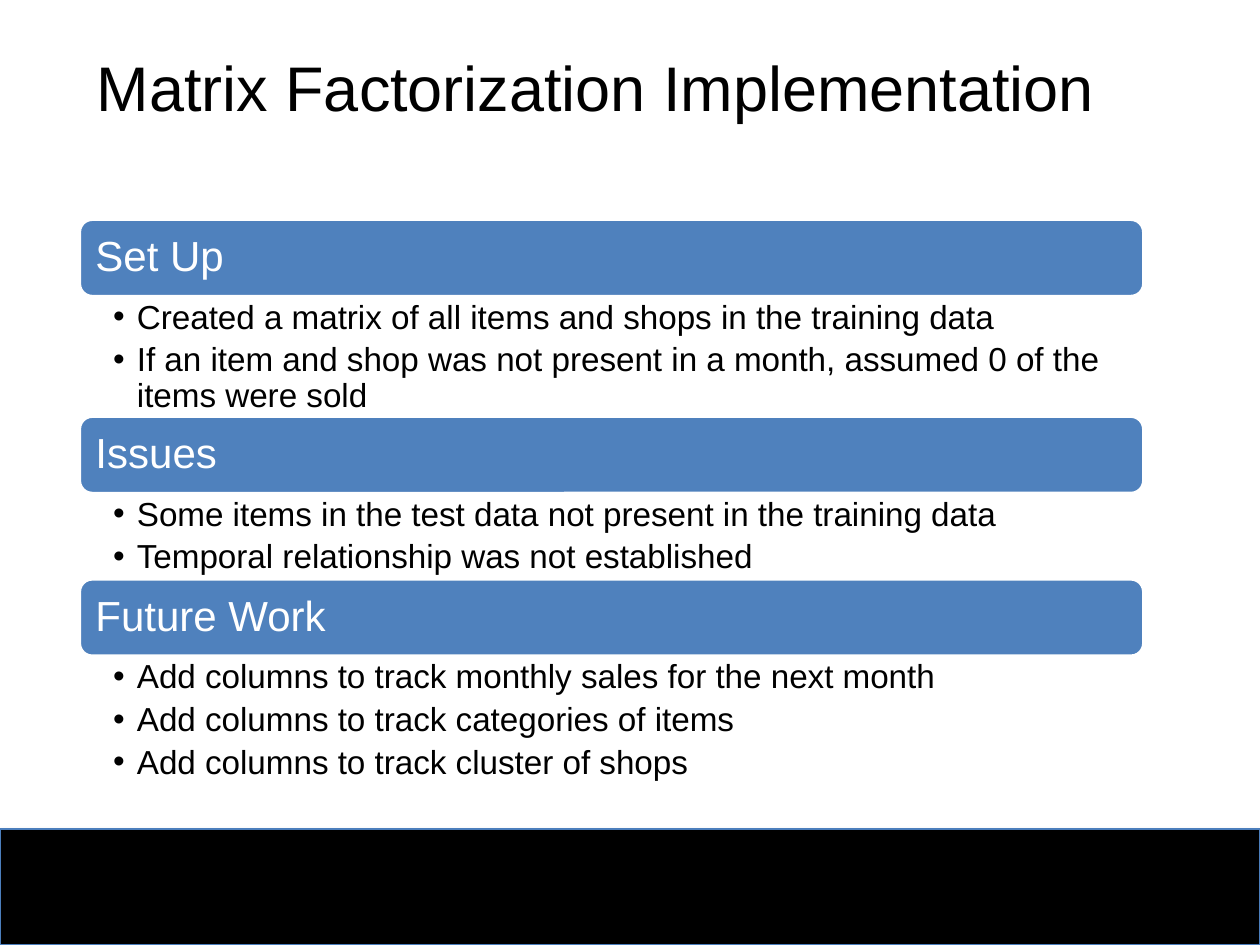
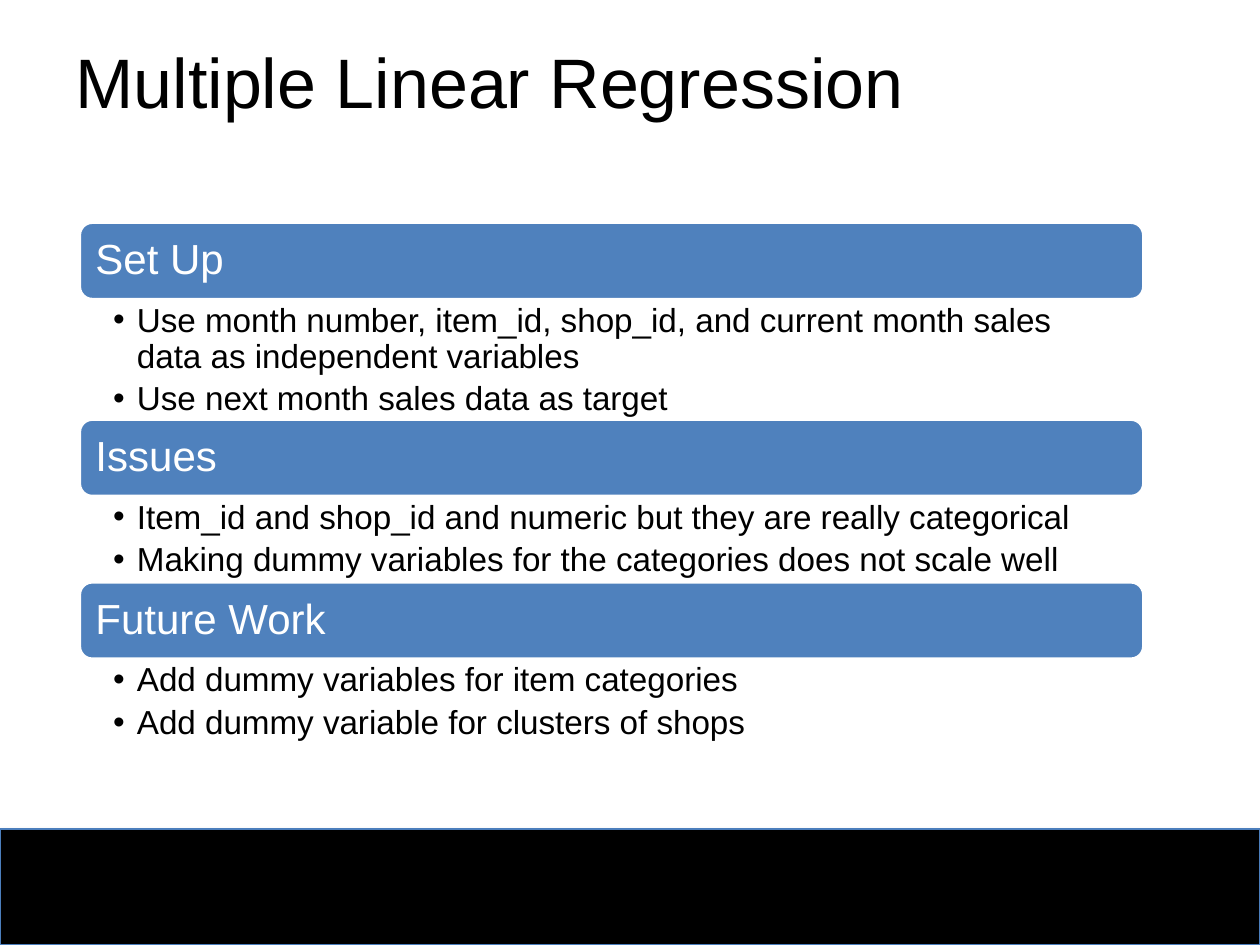
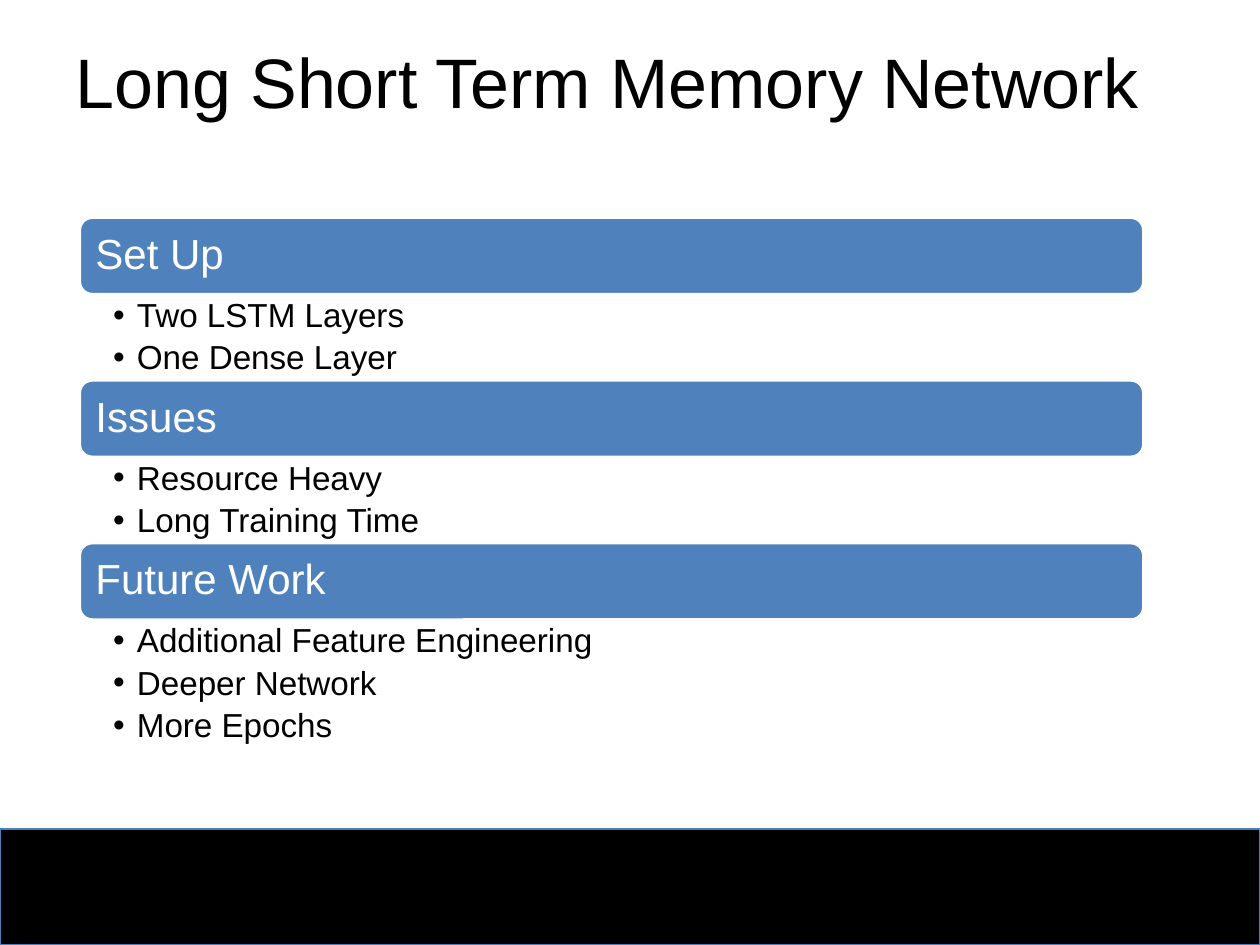
from lxml.etree import SubElement
from pptx import Presentation
from pptx.dml.color import RGBColor
from pptx.enum.shapes import MSO_SHAPE as Preset
from pptx.enum.text import MSO_ANCHOR as Anchor, MSO_AUTO_SIZE as AutoSize, PP_ALIGN as Align
from pptx.oxml.ns import qn
from pptx.util import Cm, Pt

COLORS = {
    "text": "000000",
    "band": "000000",
    "band_line": "4B7EBC",
    "bar": "4F81BD",
    "light": "FFFFFF",
}
FONT = "Arial"
COMPARISON_LAYOUT = 4
LIST_LEFT, LIST_WIDTH, BAR_HEIGHT = Cm(1.6), Cm(21.46), Cm(1.56)
BULLET_INDENT = Cm(0.48)
TWO_LINES, WRAPPED_LINES, THREE_ITEMS = Cm(1.72), Cm(2.41), Cm(2.62)

TITLE_FRAME = {
    "vertical_anchor": Anchor.TOP,
    "auto_size": AutoSize.NONE,
    "word_wrap": True,
    "margin_left": Cm(0.25),
    "margin_top": Cm(0.13),
}
BAR_FRAME = {
    "vertical_anchor": Anchor.MIDDLE,
    "word_wrap": True,
    "margin_left": Cm(0.25),
    "margin_right": Cm(0.25),
}
LIST_FRAME = {
    "vertical_anchor": Anchor.TOP,
    "auto_size": AutoSize.NONE,
    "word_wrap": True,
    "margin_left": Cm(0.68),
    "margin_right": Cm(0.48),
    "margin_top": Cm(0.08),
    "margin_bottom": Cm(0.08),
}
PLAIN_PARAGRAPH = {"alignment": Align.LEFT, "space_before": Pt(0)}
BAR_PARAGRAPH = {**PLAIN_PARAGRAPH, "line_spacing": 0.9}
LIST_PARAGRAPH = {**BAR_PARAGRAPH, "level": 1, "space_after": Pt(3.8)}

WIDE_TITLE = {"left": Cm(1.27), "top": Cm(0.64), "width": Cm(24.13), "height": Cm(1.96)}
NARROW_TITLE = {"left": Cm(1.7), "top": Cm(0.84), "width": Cm(21.8), "height": Cm(1.8)}

SLIDES = [
    {
        "title": "Matrix Factorization Implementation",
        "title_box": NARROW_TITLE,
        "title_size": 36,
        "top": Cm(4.42),
        "sections": [
            ("Set Up", WRAPPED_LINES, [
                "Created a matrix of all items and shops in the training data",
                "If an item and shop was not present in a month, assumed 0 of the items were sold",
            ]),
            ("Issues", TWO_LINES, [
                "Some items in the test data not present in the training data",
                "Temporal relationship was not established",
            ]),
            ("Future Work", THREE_ITEMS, [
                "Add columns to track monthly sales for the next month",
                "Add columns to track categories of items",
                "Add columns to track cluster of shops",
            ]),
        ],
    },
    {
        "title": "Multiple Linear Regression",
        "title_box": WIDE_TITLE,
        "title_size": 40,
        "top": Cm(4.48),
        "sections": [
            ("Set Up", WRAPPED_LINES, [
                "Use month number, item_id, shop_id, and current month sales data as independent variables",
                "Use next month sales data as target",
            ]),
            ("Issues", TWO_LINES, [
                "Item_id and shop_id and numeric but they are really categorical",
                "Making dummy variables for the categories does not scale well",
            ]),
            ("Future Work", TWO_LINES, [
                "Add dummy variables for item categories",
                "Add dummy variable for clusters of shops",
            ]),
        ],
    },
    {
        "title": "Long Short Term Memory Network",
        "title_box": WIDE_TITLE,
        "title_size": 40,
        "top": Cm(4.38),
        "sections": [
            ("Set Up", TWO_LINES, ["Two LSTM Layers", "One Dense Layer"]),
            ("Issues", TWO_LINES, ["Resource Heavy", "Long Training Time"]),
            ("Future Work", THREE_ITEMS, [
                "Additional Feature Engineering",
                "Deeper Network",
                "More Epochs",
            ]),
        ],
    },
]


def set_attributes(target, values):
    for name, value in values.items():
        setattr(target, name, value)


def color(name):
    return RGBColor.from_string(COLORS[name])


def paint(shape, fill, line, line_width):
    shape.fill.solid()
    shape.fill.fore_color.rgb = color(fill)
    shape.line.color.rgb = color(line)
    shape.line.width = Pt(line_width)


def write(paragraph, text, size, color_name, layout):
    set_attributes(paragraph, layout)
    run = paragraph.add_run()
    run.text = text
    set_attributes(run.font, {"name": FONT, "size": Pt(size), "bold": False})
    run.font.color.rgb = color(color_name)


def add_bullet(paragraph):
    properties = paragraph._p.get_or_add_pPr()
    properties.set("marL", str(BULLET_INDENT))
    properties.set("indent", str(-BULLET_INDENT))
    SubElement(properties, qn("a:buChar")).set("char", "•")


def add_master_band(presentation, slide):
    top = Cm(16.71)
    band = slide.shapes.add_shape(
        Preset.RECTANGLE, 0, top, presentation.slide_width, presentation.slide_height - top)
    paint(band, "band", "band_line", 0.75)
    presentation.slide_master.shapes.element.insert(2, band.element)


def fill_title(title, content):
    set_attributes(title, content["title_box"])
    set_attributes(title.text_frame, TITLE_FRAME)
    write(title.text_frame.paragraphs[0], content["title"],
          content["title_size"], "text", PLAIN_PARAGRAPH)


def add_heading_bar(slide, heading, top):
    bar = slide.shapes.add_shape(
        Preset.ROUNDED_RECTANGLE, LIST_LEFT, top, LIST_WIDTH, BAR_HEIGHT)
    bar.shadow.inherit = False
    paint(bar, "bar", "light", 2)
    set_attributes(bar.text_frame, BAR_FRAME)
    write(bar.text_frame.paragraphs[0], heading, 24, "light", BAR_PARAGRAPH)


def fill_list(body, items, top, height):
    set_attributes(body, {"left": LIST_LEFT, "top": top, "width": LIST_WIDTH, "height": height})
    frame = body.text_frame
    set_attributes(frame, LIST_FRAME)
    for index, item in enumerate(items):
        paragraph = frame.add_paragraph() if index else frame.paragraphs[0]
        add_bullet(paragraph)
        write(paragraph, item, 19, "text", LIST_PARAGRAPH)


def fill_sections(slide, content):
    bodies = [shape for shape in slide.placeholders if shape != slide.shapes.title]
    sections = content["sections"]
    top = content["top"]
    for body, (heading, height, items) in zip(bodies, sections):
        add_heading_bar(slide, heading, top)
        fill_list(body, items, top + BAR_HEIGHT, height)
        top += BAR_HEIGHT + height
    for unused in bodies[len(sections):]:
        unused.element.getparent().remove(unused.element)


def main():
    presentation = Presentation()
    presentation.slide_width, presentation.slide_height = Cm(25.4), Cm(19.05)
    layout = presentation.slide_layouts[COMPARISON_LAYOUT]
    for number, content in enumerate(SLIDES):
        slide = presentation.slides.add_slide(layout)
        if number == 0:
            add_master_band(presentation, slide)
        fill_title(slide.shapes.title, content)
        fill_sections(slide, content)
    presentation.save("out.pptx")


if __name__ == "__main__":
    main()
